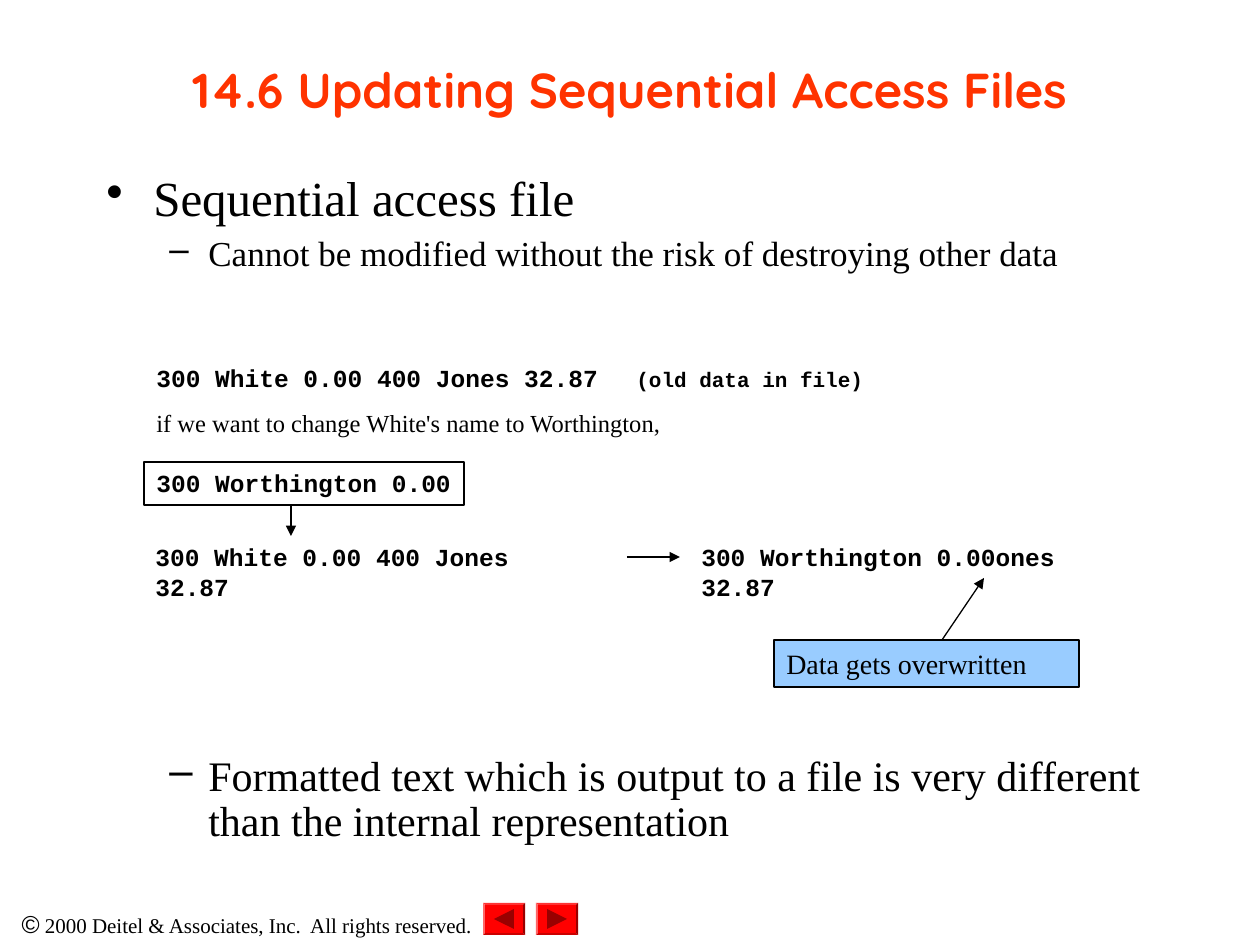
from lxml import etree
from pptx import Presentation
from pptx.dml.color import RGBColor
from pptx.enum.shapes import MSO_CONNECTOR, MSO_SHAPE
from pptx.enum.text import MSO_ANCHOR, PP_ALIGN
from pptx.oxml.ns import qn
from pptx.util import Emu, Pt

STRAIGHT = MSO_CONNECTOR.STRAIGHT
RECTANGLE, BEVEL, TRIANGLE = MSO_SHAPE.RECTANGLE, MSO_SHAPE.BEVEL, MSO_SHAPE.ISOSCELES_TRIANGLE
LEFT, CENTER = PP_ALIGN.LEFT, PP_ALIGN.CENTER
TOP, MIDDLE = MSO_ANCHOR.TOP, MSO_ANCHOR.MIDDLE
SERIF, CODE = "Times New Roman", "Courier New"
BLACK, WHITE, ORANGE, BLUE = "000000", "FFFFFF", "FF3300", "99CCFF"
RED, DARK_RED = "FF0000", "990000"


def px(length):
    """Turn pixels into EMU."""
    return Emu(round(length * 914400 / 126))


def color(value):
    """Turn a hex string into a colour."""
    return RGBColor.from_string(value)


def add_span(para, text, size, font=SERIF, bold=False, ink=BLACK):
    """Add one formatted run."""
    span = para.add_run()
    span.text = text
    span.font.size = Pt(size)
    span.font.name = font
    span.font.bold = bold
    span.font.color.rgb = color(ink)


def prepare(box, anchor=TOP, wrap=True):
    """Set up the text frame of a box and return its first paragraph."""
    frame = box.text_frame
    frame.word_wrap = wrap
    frame.vertical_anchor = anchor
    frame.margin_left = frame.margin_right = Emu(91440)
    frame.margin_top = frame.margin_bottom = Emu(45720)
    para = frame.paragraphs[0]
    para.alignment = LEFT
    return para


def add_text(page, left, top, width, height, **setup):
    """Add a text box and return its first paragraph."""
    return prepare(page.shapes.add_textbox(px(left), px(top), px(width), px(height)), **setup)


def add_shape(page, kind, left, top, width, height, fill, outline=None):
    """Add a filled preset shape."""
    shape = page.shapes.add_shape(kind, px(left), px(top), px(width), px(height))
    shape.shadow.inherit = False
    shape.fill.solid()
    shape.fill.fore_color.rgb = color(fill)
    if outline:
        shape.line.color.rgb = color(outline)
        shape.line.width = Pt(0.75)
    else:
        shape.line.fill.background()
    return shape


def add_arrow(page, x1, y1, x2, y2):
    """Add a thin line ending in a triangle."""
    arrow = page.shapes.add_connector(STRAIGHT, px(x1), px(y1), px(x2), px(y2))
    arrow.line.color.rgb = color(BLACK)
    arrow.line.width = Pt(0.75)
    properties = arrow.line._get_or_add_ln()
    etree.SubElement(properties, qn("a:tailEnd"), type="triangle")
    etree.SubElement(arrow._element.spPr, qn("a:effectLst"))


def set_bullet(para, mark, margin, hanging):
    """Give a paragraph a bullet and a hanging indent."""
    properties = para._p.get_or_add_pPr()
    properties.set("marL", str(px(margin)))
    properties.set("indent", str(-px(hanging)))
    etree.SubElement(properties, qn("a:buChar"), char=mark)
    para.line_spacing = 0.9


def add_title(page, left, top, width, height):
    """Place the slide title."""
    para = add_text(page, left, top, width, height, anchor=MIDDLE)
    para.alignment = CENTER
    add_span(para, "14.6 Updating Sequential Access Files", 28, "Quicksand", True, ORANGE)


def add_points(page, left, top, width, height):
    """Place the bullet points above and below the diagram."""
    para = add_text(page, left, top, width, 120)
    set_bullet(para, "•", 47, 47)
    add_span(para, "Sequential access file", 28)
    para = para._parent.add_paragraph()
    set_bullet(para, "–", 102, 39)
    para.space_before = Pt(5)
    add_span(para, "Cannot be modified without the risk of destroying other data", 20)
    para = add_text(page, left, top + 581, width, height - 581)
    set_bullet(para, "–", 102, 39)
    add_span(para, "Formatted text which is output to a file is very different "
             "than the internal representation", 24)


def add_diagram(page, left, top):
    """Place the example of overwritten data."""
    para = add_text(page, left, top, 882, 87)
    tabs = etree.SubElement(para._p.get_or_add_pPr(), qn("a:tabLst"))
    etree.SubElement(tabs, qn("a:tab"), pos=str(px(480)), algn="l")
    add_span(para, "300 White 0.00 400 Jones 32.87", 14, CODE, True)
    add_span(para, "\t(old data in file)", 12, CODE, True)
    para = para._parent.add_paragraph()
    para.space_before = Pt(8.8)
    add_span(para, "if we want to change White's name to Worthington,", 14)

    records = ((-1, "300 White 0.00 400 Jones 32.87"), (545, "300 Worthington 0.00ones 32.87"))
    for offset, record in records:
        para = add_text(page, left + offset, top + 179, 467, 43, wrap=False)
        add_span(para, record, 14, CODE, True)

    box = add_shape(page, RECTANGLE, left, top + 105, 320, 43, WHITE, BLACK)
    add_span(prepare(box, wrap=False), "300 Worthington 0.00", 14, CODE, True)
    box = add_shape(page, RECTANGLE, left + 630, top + 283, 305, 47, BLUE, BLACK)
    add_span(prepare(box), "Data gets overwritten", 16)

    for x1, y1, x2, y2 in ((483, 200, 536, 200), (147, 148, 147, 179), (798, 283, 840, 221)):
        add_arrow(page, left + x1, top + y1, left + x2, top + y2)


def add_footer(page, left, top):
    """Place the copyright line and the two navigation buttons."""
    para = add_text(page, left, top, 494, 43)
    para.alignment = CENTER
    add_span(para, "©", 14, "Arial")
    add_span(para, " 2000 Deitel & Associates, Inc.  All rights reserved.", 12)
    for offset, turn in ((483, -90), (536, 90)):
        button = add_shape(page, BEVEL, left + offset, top, 42, 32, RED)
        button.adjustments[0] = 0.06
        triangle = add_shape(page, TRIANGLE, left + offset + 11, top + 6, 20, 20, DARK_RED)
        triangle.rotation = turn


def main():
    """Build and save the deck."""
    deck = Presentation()
    deck.slide_width, deck.slide_height = px(1260), px(945)
    page = deck.slides.add_slide(deck.slide_layouts[6])
    add_footer(page, 0, 903)
    add_title(page, 94, 10, 1071, 158)
    add_points(page, 94, 168, 1071, 725)
    add_diagram(page, 144, 357)
    deck.save("out.pptx")


if __name__ == "__main__":
    main()
